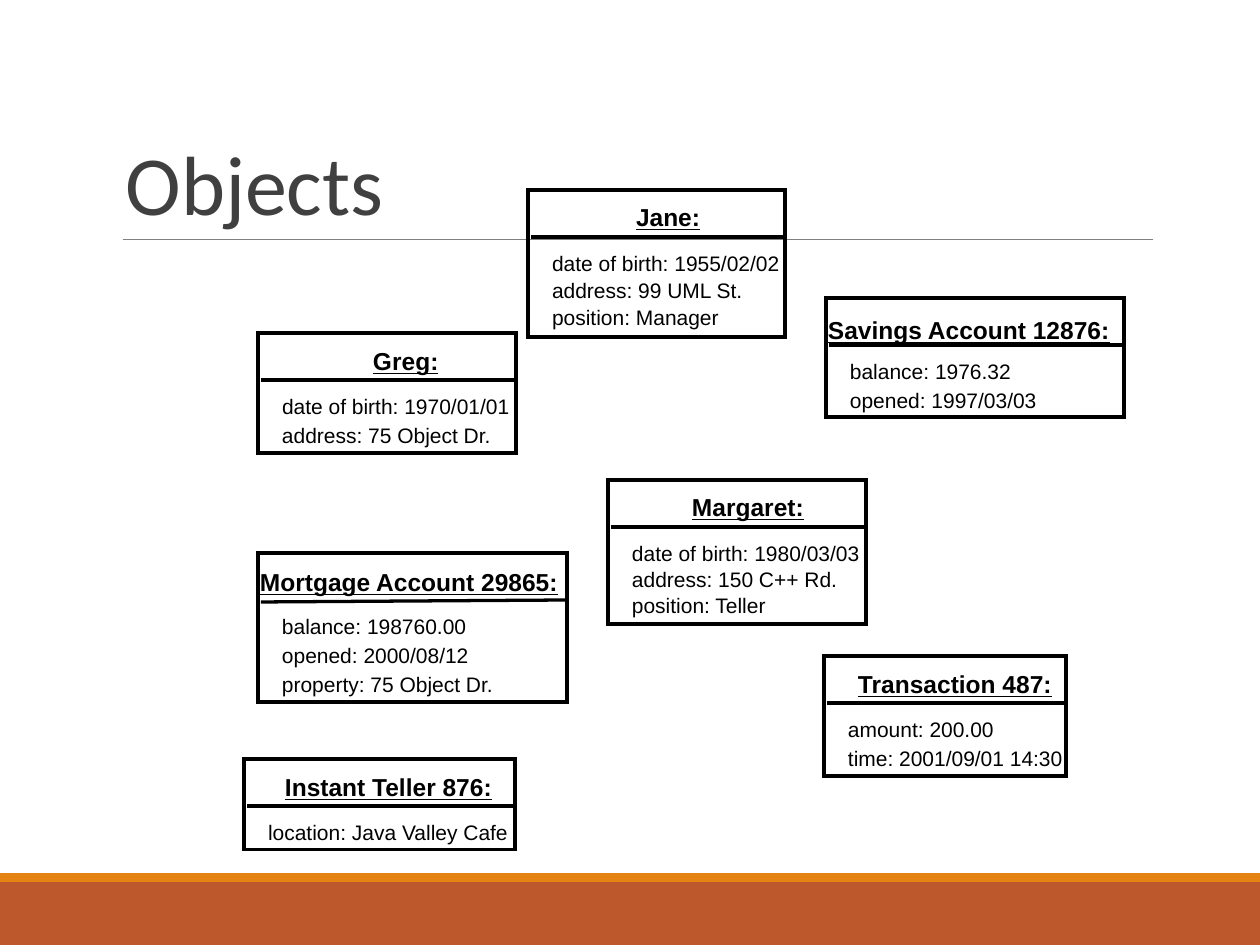
"""Build a slide of seven object boxes with names and attribute values."""
from lxml.etree import SubElement
from pptx import Presentation
from pptx.dml.color import RGBColor
from pptx.enum.shapes import MSO_CONNECTOR, MSO_SHAPE
from pptx.enum.text import MSO_ANCHOR, MSO_AUTO_SIZE
from pptx.oxml.ns import qn
from pptx.util import Pt

PX = 914400 / 126
BLACK = RGBColor(0, 0, 0)
DARK = RGBColor(0x40, 0x40, 0x40)
GRAY = RGBColor(0x7F, 0x7F, 0x7F)
RUST = RGBColor(0xBD, 0x58, 0x2C)
AMBER = RGBColor(0xE4, 0x83, 0x12)

HEAD = {"name": "Calibri", "size": Pt(48)}
NAME = {"name": "Arial", "size": Pt(14), "bold": True, "underline": True}
ROW = {"name": "Arial", "size": Pt(12)}
BARE = {"margin_left": 0, "margin_top": 0, "margin_right": 0, "margin_bottom": 0,
        "word_wrap": False, "auto_size": MSO_AUTO_SIZE.SHAPE_TO_FIT_TEXT}
BASE = {"word_wrap": True, "vertical_anchor": MSO_ANCHOR.BOTTOM}

deck = Presentation()
deck.slide_width, deck.slide_height = round(1260 * PX), round(945 * PX)
slide = deck.slides.add_slide(deck.slide_layouts[6])
shapes = slide.shapes


def write(text, area, face, frame, color=BLACK):
    box = shapes.add_textbox(*[round(n * PX) for n in area])
    for key, value in frame.items():
        setattr(box.text_frame, key, value)
    para = box.text_frame.paragraphs[0]
    run = para.add_run()
    run.text = text
    for key, value in face.items():
        setattr(run.font, key, value)
    run.font.color.rgb = color
    return para


def rule(ends, color, width):
    line = shapes.add_connector(MSO_CONNECTOR.STRAIGHT, *[round(n * PX) for n in ends])
    line.line.color.rgb = color
    line.line.width = Pt(width)
    SubElement(line._element.spPr, qn("a:effectLst"))


for top, high, color in [(882, 63, RUST), (873, 9, AMBER)]:
    band = shapes.add_shape(MSO_SHAPE.RECTANGLE, 0, round(top * PX),
                            deck.slide_width, round(high * PX))
    band.shadow.inherit = False
    band.fill.solid()
    band.fill.fore_color.rgb = color
    band.line.fill.background()

rule((123, 239, 1153, 239), GRAY, 0.5)
title = write("Objects", (113, 39, 1040, 200), HEAD, BASE, DARK)
title.line_spacing = 0.85

cards = [
    ((608, 480, 258, 144), 0, ("Margaret:", 692, 492, 114), 26,
     [("date of birth: 1980/03/03", 230), ("address: 150 C++ Rd.", 208),
      ("position: Teller", 138)]),
    ((824, 656, 242, 120), 0, ("Transaction 487:", 858, 669, 197), 29,
     [("amount: 200.00", 149), ("time: 2001/09/01 14:30", 217)]),
    ((258, 333, 258, 120), 0, ("Greg:", 373, 346, 68), 29,
     [("date of birth: 1970/01/01", 230), ("address: 75 Object Dr.", 212)]),
    ((258, 553, 309, 149), 2, ("Mortgage Account 29865:", 260, 567, 301), 29,
     [("balance: 198760.00", 188), ("opened: 2000/08/12", 190),
      ("property: 75 Object Dr.", 215)]),
    ((244, 759, 271, 91), 0, ("Instant Teller 876:", 285, 772, 211), 29,
     [("location: Java Valley Cafe", 244)]),
    ((826, 298, 298, 119), 0, ("Savings Account 12876:", 828, 315, 284), 29,
     [("balance: 1976.32", 165), ("opened: 1997/03/03", 190)]),
    ((528, 190, 257, 147), 0, ("Jane:", 636, 202, 68), 27,
     [("date of birth: 1955/02/02", 230), ("address: 99 UML St.", 194),
      ("position: Manager", 170)]),
]

for area, tilt, (name, left, head, span), step, rows in cards:
    x, y, wide, high = area
    card = shapes.add_shape(MSO_SHAPE.RECTANGLE, *[round(n * PX) for n in area])
    card.shadow.inherit = False
    card.fill.background()
    card.line.color.rgb = BLACK
    card.line.width = Pt(1.87)
    SubElement(card._element.spPr.find(qn("a:ln")), qn("a:miter"), lim="800000")
    rule((x + 3, y + 47 + tilt, x + wide, y + 47), BLACK, 1.87)
    write(name, (left, head, span, 29), NAME, BARE)
    for i, (text, size) in enumerate(rows):
        write(text, (x + 24, y + 61 + i * step, size, 25), ROW, BARE)

deck.save("out.pptx")
